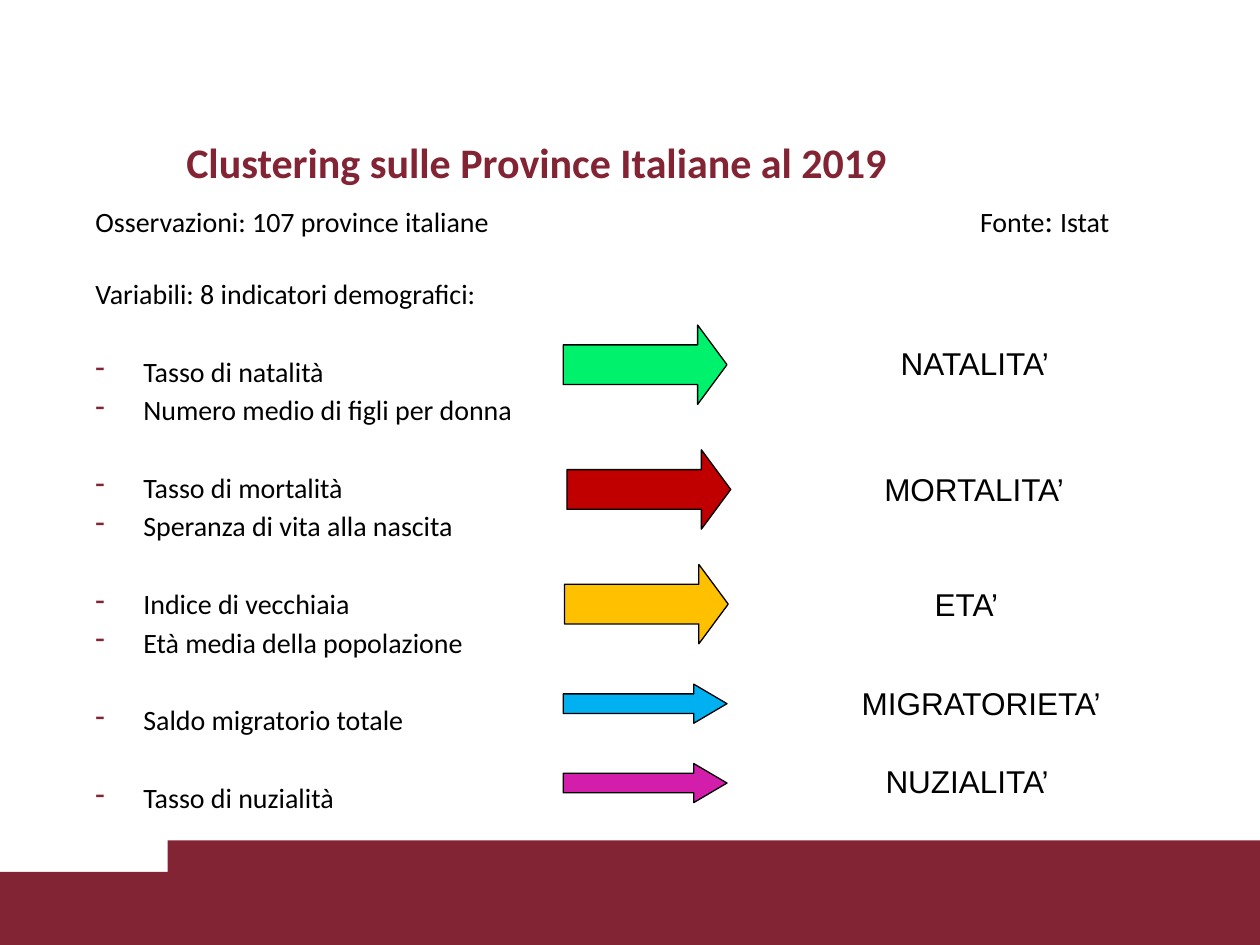
from dataclasses import dataclass

import lxml.etree
import pptx
import pptx.dml.color
import pptx.enum.shapes
import pptx.enum.text
import pptx.oxml.ns
import pptx.util

Inches = pptx.util.Inches
Pt = pptx.util.Pt
RGBColor = pptx.dml.color.RGBColor
Kind = pptx.enum.shapes.MSO_SHAPE
Anchor = pptx.enum.text.MSO_ANCHOR
qn = pptx.oxml.ns.qn

WINE = RGBColor(0x82, 0x24, 0x33)
BLACK = RGBColor(0, 0, 0)
GREEN = RGBColor(0x00, 0xF2, 0x6D)
RED = RGBColor(0xC0, 0x00, 0x00)
GOLD = RGBColor(0xFF, 0xC0, 0x00)
BLUE = RGBColor(0x00, 0xB0, 0xF0)
PINK = RGBColor(0xD2, 0x1E, 0xAB)

PLAIN = {"name": "Calibri", "size": Pt(16), "bold": False}
TITLE = {"name": "Calibri", "size": Pt(24), "bold": True}
LABEL = {"name": "Arial", "size": Pt(18), "bold": False}
COLON = {"name": "Calibri", "size": Pt(18), "bold": False}

NEAR = 2.87
GAP = 25.2
INDENT = 0.38


@dataclass
class Box:
    left: float
    top: float
    width: float
    height: float


@dataclass
class Topic:
    items: tuple[str, ...]
    name: str
    color: RGBColor
    arrow: Box
    label: Box


TOPICS = [
    Topic(("Tasso di natalità", "Numero medio di figli per donna"), "NATALITA’",
          GREEN, Box(4.47, 2.58, 1.3, 0.63), Box(7.05, 2.68, 2.06, 0.4)),
    Topic(("Tasso di mortalità", "Speranza di vita alla nascita"), "MORTALITA’",
          RED, Box(4.5, 3.57, 1.3, 0.63), Box(6.92, 3.68, 2.06, 0.4)),
    Topic(("Indice di vecchiaia", "Età media della popolazione"), "ETA’",
          GOLD, Box(4.48, 4.48, 1.3, 0.63), Box(7.32, 4.59, 2.06, 0.4)),
    Topic(("Saldo migratorio totale",), "MIGRATORIETA’",
          BLUE, Box(4.47, 5.43, 1.3, 0.31), Box(6.74, 5.38, 2.22, 0.4)),
    Topic(("Tasso di nuzialità",), "NUZIALITA’",
          PINK, Box(4.47, 6.06, 1.3, 0.31), Box(6.93, 6, 2.06, 0.4)),
]


def place(box: Box) -> list[int]:
    return [Inches(n) for n in (box.left, box.top, box.width, box.height)]


def add_shape(slide, kind, box: Box, color: RGBColor):
    shape = slide.shapes.add_shape(kind, *place(box))
    shape.shadow.inherit = False
    shape.fill.solid()
    shape.fill.fore_color.rgb = color
    shape.line.fill.background()
    return shape


def add_arrow(slide, topic: Topic) -> None:
    shape = add_shape(slide, Kind.RIGHT_ARROW, topic.arrow, topic.color)
    shape.adjustments[0] = 0.5
    shape.adjustments[1] = 0.37 if topic.arrow.height > 0.5 else 0.85
    shape.line.color.rgb = BLACK
    shape.line.width = Pt(0.75)


def add_frame(slide, box: Box, anchor=Anchor.TOP):
    frame = slide.shapes.add_textbox(*place(box)).text_frame
    frame.word_wrap = True
    frame.vertical_anchor = anchor
    return frame


def add_run(para, text: str, style: dict, color: RGBColor = BLACK) -> None:
    run = para.add_run()
    run.text = text
    for key, value in style.items():
        setattr(run.font, key, value)
    run.font.color.rgb = color


def add_dash(para) -> None:
    props = para._p.get_or_add_pPr()
    props.set("marL", str(Inches(INDENT)))
    props.set("indent", str(-Inches(INDENT)))
    tint = lxml.etree.SubElement(props, qn("a:buClr"))
    lxml.etree.SubElement(tint, qn("a:srgbClr")).set("val", str(WINE))
    lxml.etree.SubElement(props, qn("a:buChar")).set("char", "-")


def add_list(slide, box: Box) -> None:
    frame = add_frame(slide, box)
    add_run(frame.paragraphs[0], "Osservazioni: 107 province italiane", PLAIN)
    rows = [("Variabili: 8 indicatori demografici:", 22.2, False)]
    for topic in TOPICS:
        for i, item in enumerate(topic.items):
            rows.append((item, NEAR if i else GAP, True))
    for text, space, dash in rows:
        para = frame.add_paragraph()
        para.space_before = Pt(space)
        add_run(para, text, PLAIN)
        if dash:
            add_dash(para)


def main() -> None:
    deck = pptx.Presentation()
    deck.slide_width, deck.slide_height = Inches(10), Inches(7.5)
    slide = deck.slides.add_slide(deck.slide_layouts[6])

    for band in (Box(0, 6.92, 10, 0.58), Box(1.33, 6.67, 8.67, 0.83)):
        add_shape(slide, Kind.RECTANGLE, band, WINE)

    title = add_frame(slide, Box(1.38, 1.01, 8.11, 0.55), Anchor.MIDDLE)
    add_run(title.paragraphs[0], "Clustering sulle Province Italiane al 2019",
            TITLE, WINE)
    add_list(slide, Box(0.66, 1.57, 3.63, 4.92))

    for topic in TOPICS:
        add_arrow(slide, topic)
        label = add_frame(slide, topic.label)
        add_run(label.paragraphs[0], topic.name, LABEL)

    credit = add_frame(slide, Box(7.68, 1.55, 2.06, 0.4)).paragraphs[0]
    for text, style in (("Fonte", PLAIN), (": ", COLON), ("Istat", PLAIN)):
        add_run(credit, text, style)

    deck.save("out.pptx")


if __name__ == "__main__":
    main()
